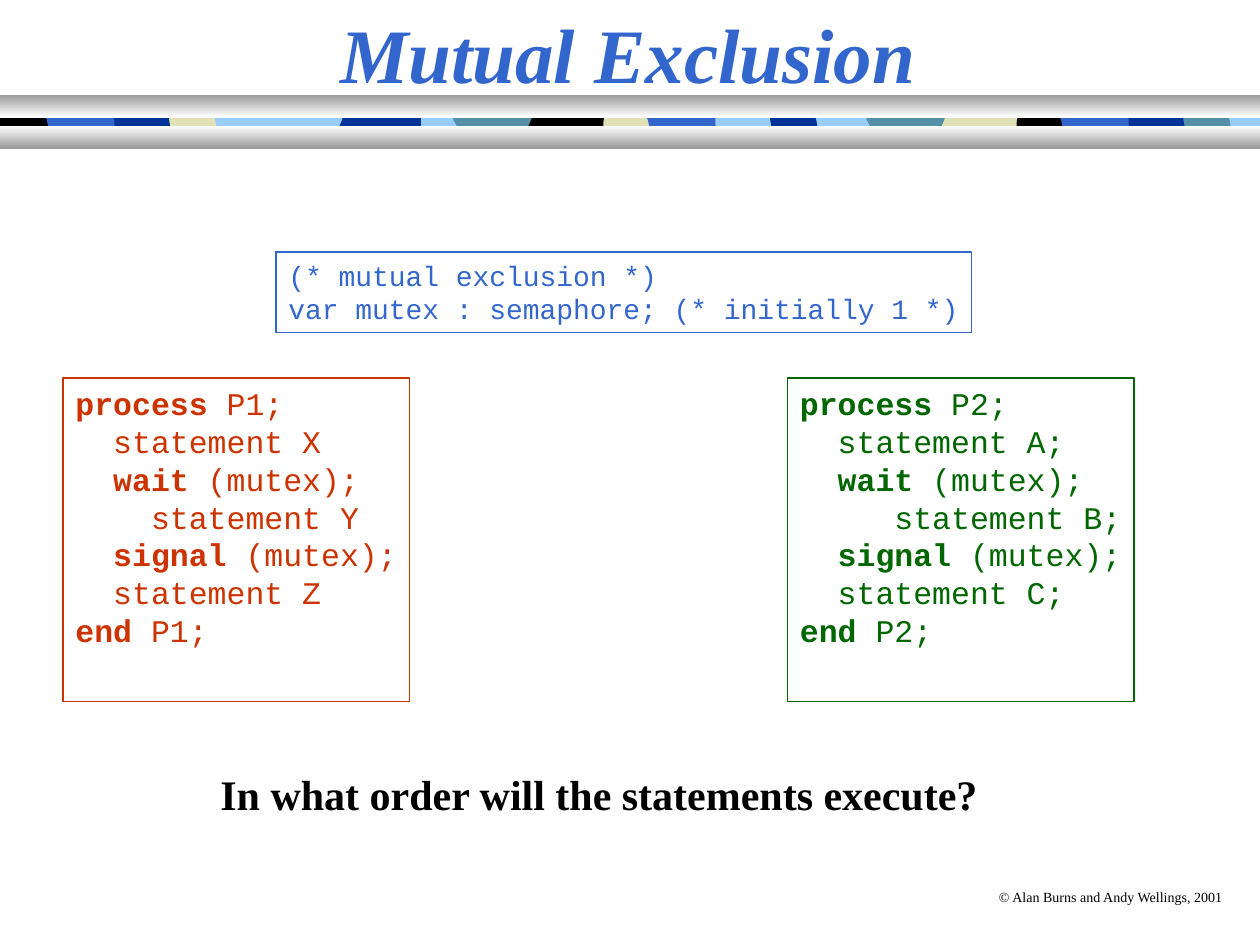
import pptx
import pptx.util
from pptx.dml.color import RGBColor
from pptx.enum.shapes import MSO_SHAPE
from pptx.enum.text import MSO_ANCHOR, MSO_AUTO_SIZE, PP_ALIGN
from pptx.util import Inches

SERIF, MONO = "Times New Roman", "Courier New"
BLACK, BLUE, NAVY, SKY = "000000", "3366CC", "003399", "99CCFF"
TEAL, SAND, RED, GREEN, GREY = "5490A8", "E1E1B7", "CC3300", "006600", "989898"
KEYWORDS = ("process", "wait", "signal", "end")

CODE_BOXES = [  # left, top, width, height, colour, size, lines
    (6.25, 3, 2.75, 2.57, GREEN, 18, [
        "process P2;",
        "  statement A;",
        "  wait (mutex);",
        "     statement B;",
        "  signal (mutex);",
        "  statement C;",
        "end P2;"]),
    (0.5, 3, 2.75, 2.57, RED, 18, [
        "process P1;",
        "  statement X",
        "  wait (mutex);",
        "    statement Y",
        "  signal (mutex);",
        "  statement Z",
        "end P1;"]),
    (2.19, 2, 5.52, 0.64, BLUE, 16, [
        "(* mutual exclusion *)",
        "var mutex : semaphore; (* initially 1 *)"]),
]

# Ribbon tiles: offset in the pattern, width, inner x of the left and right edge curves
TILES = {
    "wedge": (0, 0.63, (0.11, -0.11), None),
    "block": (0.59, 0.63, (-0.1, 0.07), None),
    "cap": (2.49, 0.33, (-0.06, -0.06), (0.08, 0.04)),
    "neck": (1.22, 0.44, (-0.07, -0.07), (-0.07, 0)),
    "notch": (1.47, 0.63, (0.1, 0.06), None),
    "bulge": (2.07, 0.41, (0, -0.03), (0.05, 0)),
}
RIBBON = [  # pattern start, tile colours from back to front
    (6.9, {"wedge": TEAL, "block": SAND, "cap": TEAL,
           "neck": BLACK, "notch": BLUE, "bulge": NAVY}),
    (3.62, {"wedge": TEAL, "block": BLACK, "cap": NAVY,
            "neck": SAND, "notch": BLUE, "bulge": SKY}),
    (2.12, {"wedge": SKY, "block": NAVY}),
    (-1.15, {"cap": SAND, "neck": BLACK, "notch": BLUE, "bulge": NAVY}),
]
RIBBON_TOP, RIBBON_BOTTOM = 0.85, 1.13
BARS = [(0.75, (GREY, "FFFFFF")), (1, ("FFFFFF", GREY))]


def rgb(color):
    return RGBColor.from_string(color)


def edge(x, bends, steps=8):
    """Points down a tile edge at x, curved by (lower, upper) control offsets."""
    if bends is None:
        return [(x, RIBBON_TOP), (x, RIBBON_BOTTOM)]
    lower, upper = bends
    points = []
    for i in range(steps + 1):
        t = i / steps
        dx = 3 * t * (1 - t) * ((1 - t) * upper + t * lower)
        points.append((x + dx, RIBBON_TOP + t * (RIBBON_BOTTOM - RIBBON_TOP)))
    return points


def add_tile(s, left, right, left_bends, right_bends, color):
    points = edge(left, left_bends) + edge(right, right_bends)[::-1]
    points = [(round(x * 1000), round(y * 1000)) for x, y in points]
    builder = s.shapes.build_freeform(*points[0], scale=Inches(1) / 1000)
    builder.add_line_segments(points[1:])
    finish(builder.convert_to_shape(), color)


def finish(sp, fill=None, line=None):
    sp.shadow.inherit = False
    if fill:
        sp.fill.solid()
        sp.fill.fore_color.rgb = rgb(fill)
    else:
        sp.fill.background()
    if line:
        sp.line.color.rgb = rgb(line)
        sp.line.width = pptx.util.Pt(0.75)
    else:
        sp.line.fill.background()


def set_font(r, name, size, color, bold=False, italic=False):
    f = r.font
    f.name, f.size, f.bold, f.italic = name, pptx.util.Pt(size), bold, italic
    f.color.rgb = rgb(color)


def add_ribbon(s):
    add_tile(s, 0, 10, None, None, SKY)
    for start, colors in RIBBON:
        for name, color in colors.items():
            offset, width, left_bends, right_bends = TILES[name]
            left = start + offset
            right = left + width
            if left < 0.1:  # the first tile runs out to the slide edge
                left, left_bends = 0, None
            add_tile(s, left, right, left_bends, right_bends, color)
    for top, colors in BARS:
        sp = s.shapes.add_shape(MSO_SHAPE.RECTANGLE, 0, Inches(top), Inches(10), Inches(0.18))
        finish(sp)
        sp.fill.gradient()
        sp.fill.gradient_angle = 270
        for stop, color in zip(sp.fill.gradient_stops, colors):
            stop.color.rgb = rgb(color)


def add_code(s, left, top, width, height, color, size, lines):
    sp = s.shapes.add_shape(MSO_SHAPE.RECTANGLE, *map(Inches, (left, top, width, height)))
    finish(sp, line=color)
    tf = sp.text_frame
    tf.word_wrap = False
    tf.auto_size = MSO_AUTO_SIZE.NONE
    tf.vertical_anchor = MSO_ANCHOR.TOP
    for i, line in enumerate(lines):
        p = tf.add_paragraph() if i else tf.paragraphs[0]
        p.alignment = PP_ALIGN.LEFT
        word = line.split()[0]
        parts = line.partition(word) if word in KEYWORDS else (line,)
        for part in filter(None, parts):
            r = p.add_run()
            r.text = part
            set_font(r, MONO, size, color, bold=part in KEYWORDS)


def add_text(s, left, top, width, height, text, size, bold=False):
    tf = s.shapes.add_textbox(*map(Inches, (left, top, width, height))).text_frame
    tf.word_wrap = False
    tf.text = text
    set_font(tf.paragraphs[0].runs[0], SERIF, size, BLACK, bold)


def add_title(s, text):
    sp = s.shapes.title
    sp.left, sp.top, sp.width, sp.height = map(Inches, (0, 0, 9.97, 0.83))
    tf = sp.text_frame
    tf.text = text
    tf.vertical_anchor = MSO_ANCHOR.MIDDLE
    tf.auto_size = MSO_AUTO_SIZE.NONE
    p = tf.paragraphs[0]
    p.alignment = PP_ALIGN.CENTER
    set_font(p.runs[0], SERIF, 44, BLUE, bold=True, italic=True)


def main():
    prs = pptx.Presentation()
    prs.slide_width, prs.slide_height = Inches(10), Inches(7.5)
    s = prs.slides.add_slide(prs.slide_layouts[5])
    add_ribbon(s)
    add_text(s, 7.83, 7, 2, 0.24, "© Alan Burns and Andy Wellings, 2001", 8)
    add_title(s, "Mutual Exclusion")
    for box in CODE_BOXES:
        add_code(s, *box)
    add_text(s, 1.65, 6.05, 6.21, 0.5, "In what order will the statements execute?", 24, bold=True)
    prs.save("out.pptx")


if __name__ == "__main__":
    main()
